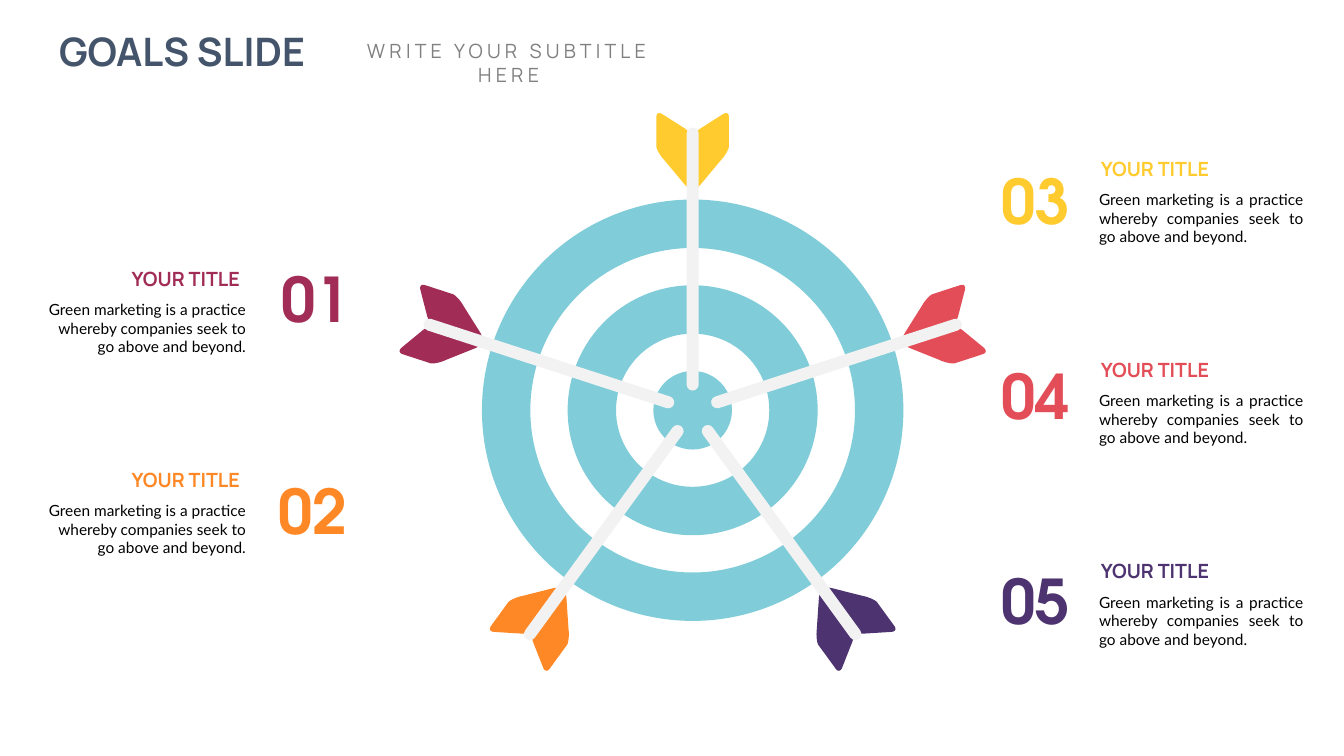
import math
import pptx
import pptx.util
import pptx.dml.color
import pptx.enum.shapes
import pptx.enum.text

# Content: number, colour, arrow angle (degrees clockwise from up), side, row, number's left and top
GOALS = [
    ("03", "FFCB2E", 0, "right", 0, 9.83, 1.57),
    ("01", "A12D56", 288, "left", 0, 2.69, 2.54),
    ("02", "FF8826", 216, "left", 1, 2.66, 4.64),
    ("05", "4D3370", 144, "right", 2, 9.83, 5.54),
    ("04", "E34D57", 72, "right", 1, 9.83, 3.5),
]
HEADING = "YOUR TITLE"
BODY = "Green marketing is a practice whereby companies seek to go above and beyond."

# Geometry in inches
CX, CY = 6.87, 4.07
RINGS = [(2.09, 1.61), (1.24, 0.76)]  # outer and inner radius
BULLSEYE = 0.39
SHAFT_W, SHAFT_L, SHAFT_R = 0.12, 2.61, 1.5  # width, length, distance of its middle
ROW_STEP = 1.995
ALIGN = pptx.enum.text.PP_ALIGN
COLUMNS = {  # heading left, body left, first heading top, heading and body alignment
    "right": (10.82, 10.66, 1.5, ALIGN.LEFT, ALIGN.JUSTIFY),
    "left": (1.19, 0.17, 2.59, ALIGN.RIGHT, ALIGN.RIGHT),
}
# Half of a feather, as (sideways, outwards): Bezier curves, joined by straight edges
FEATHER = [
    [(0, 2.18), (-0.02, 2.18), (-0.05, 2.21), (-0.08, 2.24)],
    [(-0.28, 2.48), (-0.31, 2.51), (-0.35, 2.57), (-0.36, 2.61)],
    [(-0.36, 2.91), (-0.36, 2.95), (-0.33, 2.96), (-0.29, 2.93)],
    [(-0.07, 2.79), (-0.05, 2.77), (-0.02, 2.76), (0, 2.76)],
]

Inches = pptx.util.Inches
SHAPE = pptx.enum.shapes.MSO_SHAPE


def rgb(hex_colour):
    return pptx.dml.color.RGBColor.from_string(hex_colour)


def paint(sp, colour):
    sp.shadow.inherit = False
    sp.fill.solid()
    sp.fill.fore_color.rgb = rgb(colour)
    sp.line.fill.background()


def centred(s, kind, x, y, w, h, colour):
    sp = s.shapes.add_shape(kind, Inches(x - w / 2), Inches(y - h / 2), Inches(w), Inches(h))
    paint(sp, colour)
    return sp


def write(sp, box, text, size, font, colour, bold=False, align=ALIGN.LEFT,
          wrap=False, middle=False, insets=None):
    sp.left, sp.top, sp.width, sp.height = (Inches(v) for v in box)
    tf = sp.text_frame
    tf.word_wrap = wrap
    tf.auto_size = pptx.enum.text.MSO_AUTO_SIZE.SHAPE_TO_FIT_TEXT
    anchor = pptx.enum.text.MSO_ANCHOR
    tf.vertical_anchor = anchor.MIDDLE if middle else anchor.TOP
    if insets:
        tf.margin_left = tf.margin_right = Inches(insets[0])
        tf.margin_top = tf.margin_bottom = Inches(insets[1])
    p = tf.paragraphs[0]
    p.alignment = align
    r = p.add_run()
    r.text = text
    r.font.size = pptx.util.Pt(size)
    r.font.name = font
    r.font.bold = bold
    r.font.color.rgb = rgb(colour)
    return r


def textbox(s, box, *args, **kwargs):
    return write(s.shapes.add_textbox(0, 0, 0, 0), box, *args, **kwargs)


def bezier(curve, steps=6):
    for i in range(steps + 1):
        t = i / steps
        weights = ((1 - t) ** 3, 3 * t * (1 - t) ** 2, 3 * t * t * (1 - t), t ** 3)
        yield tuple(sum(w * pt[axis] for w, pt in zip(weights, curve)) for axis in (0, 1))


def around(side, out, degrees):
    a = math.radians(degrees)
    return (CX + side * math.cos(a) + out * math.sin(a),
            CY + side * math.sin(a) - out * math.cos(a))


def arrow(s, degrees, colour):
    half = [pt for curve in FEATHER for pt in bezier(curve)]
    outline = half + [(-side, out) for side, out in reversed(half)]
    pts = [tuple(Inches(v) for v in around(side, out, degrees)) for side, out in outline]
    fb = s.shapes.build_freeform(*pts[0])
    fb.add_line_segments(pts[1:], close=True)
    paint(fb.convert_to_shape(), colour)
    x, y = around(0, SHAFT_R, degrees)
    shaft = centred(s, SHAPE.ROUNDED_RECTANGLE, x, y, SHAFT_W, SHAFT_L, "F2F2F2")
    shaft.adjustments[0] = 0.5
    shaft.rotation = degrees


def main():
    prs = pptx.Presentation()
    prs.slide_width, prs.slide_height = Inches(13.33), Inches(7.5)
    s = prs.slides.add_slide(prs.slide_layouts[5])

    # Title and subtitle
    write(s.shapes.title, (0.48, 0.22, 2.65, 0.57), "GOALS SLIDE", 28, "Manrope",
          "44546A", bold=True, align=ALIGN.CENTER)
    r = textbox(s, (3.21, 0.34, 3.67, 0.34), "WRITE YOUR SUBTITLE HERE", 14, "Manrope",
                "808080", align=ALIGN.CENTER, wrap=True)
    r._r.get_or_add_rPr().set("spc", "300")

    # Target
    for outer, inner in RINGS:
        ring = centred(s, SHAPE.DONUT, CX, CY, 2 * outer, 2 * outer, "80CDD9")
        ring.adjustments[0] = (outer - inner) / (2 * outer)
    centred(s, SHAPE.OVAL, CX, CY, 2 * BULLSEYE, 2 * BULLSEYE, "80CDD9")

    # Arrows with their goals
    for number, colour, degrees, side, row, num_left, num_top in GOALS:
        arrow(s, degrees, colour)
        head_left, body_left, first_top, head_align, body_align = COLUMNS[side]
        top = first_top + row * ROW_STEP
        textbox(s, (head_left, top, 1.29, 0.34), HEADING, 14, "Manrope", colour,
                bold=True, align=head_align, middle=True)
        textbox(s, (body_left, top + 0.27, 2.51, 0.8), BODY, 11, "Lato", "000000",
                align=body_align, wrap=True, insets=(0.24, 0.12))
        textbox(s, (num_left, num_top, 0.89, 0.84), number, 44, "TeX Gyre Adventor",
                colour, bold=True)

    prs.save("out.pptx")


if __name__ == "__main__":
    main()
